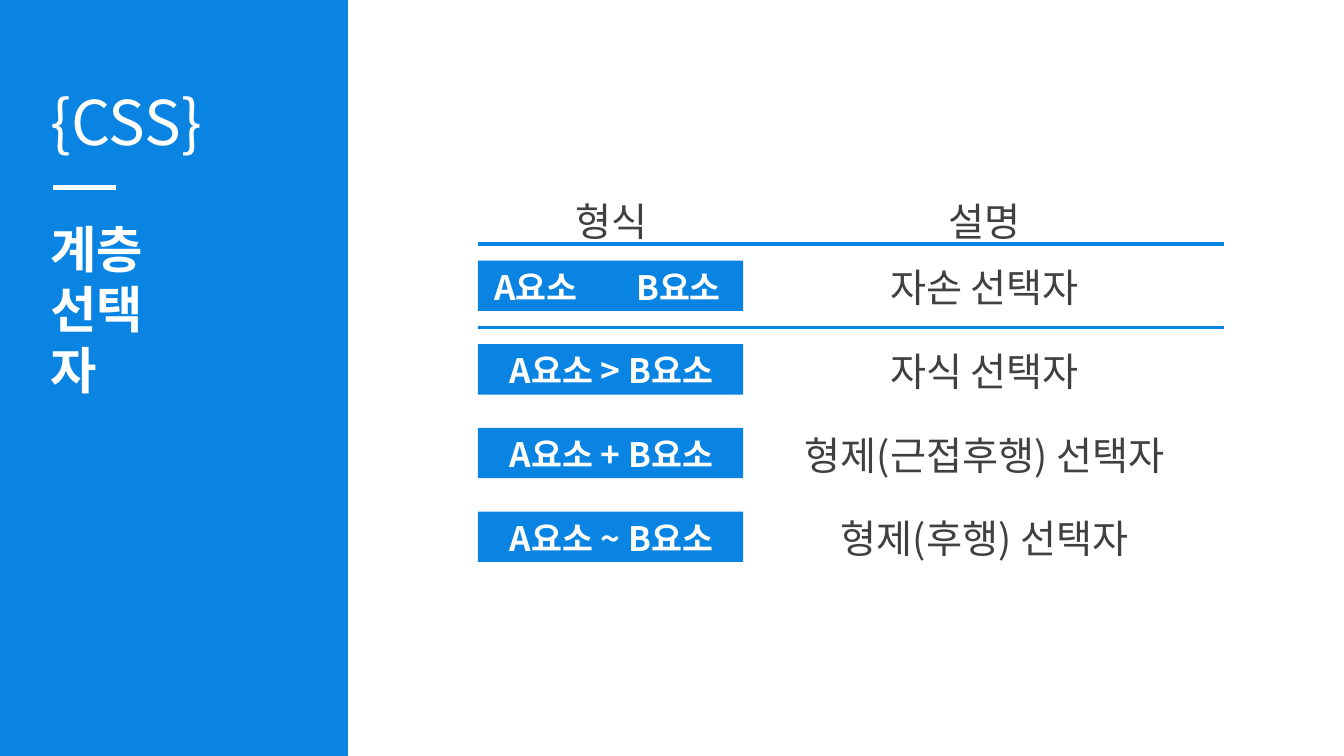
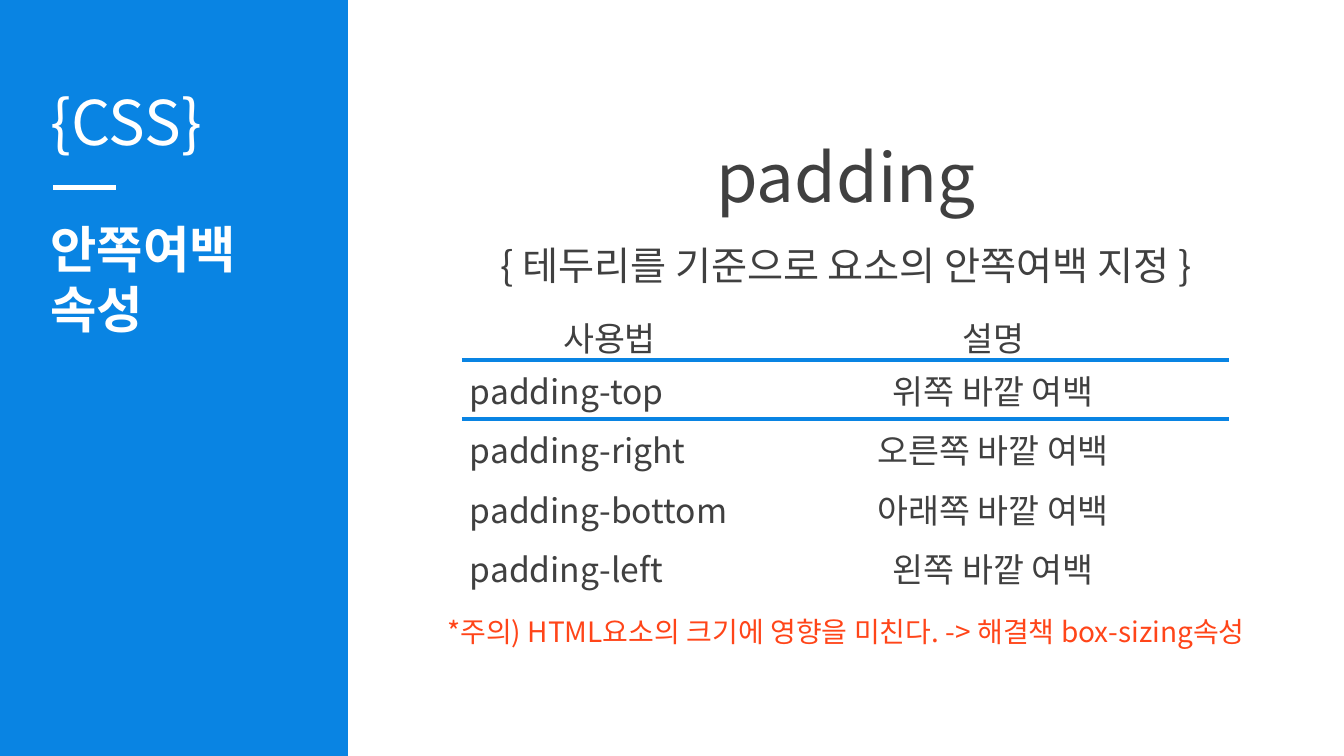
from lxml.etree import SubElement
from pptx import Presentation
from pptx.dml.color import RGBColor
from pptx.enum.shapes import MSO_CONNECTOR, MSO_SHAPE
from pptx.enum.text import MSO_ANCHOR, MSO_AUTO_SIZE, PP_ALIGN
from pptx.oxml.ns import qn
from pptx.util import Inches, Pt

BLUE = RGBColor(0x09, 0x84, 0xE3)
WHITE = RGBColor(0xFF, 0xFF, 0xFF)
GRAY = RGBColor(0x40, 0x40, 0x40)
RED = RGBColor(0xFF, 0x45, 0x19)
FONT = "Noto Sans CJK KR"
PLAIN_TABLE = "{2D5ABB26-0587-4C30-8999-92F81FD0307C}"
BAND_WIDTH = 3.45

SELECTOR_TITLE = ["계층", "선택자"]
SELECTORS = [
    ("형식", "설명"),
    ("A요소\tB요소", "자손 선택자"),
    ("A요소 > B요소", "자식 선택자"),
    ("A요소 + B요소", "형제(근접후행) 선택자"),
    ("A요소 ~ B요소", "형제(후행) 선택자"),
]
PADDING_TITLE = ["안쪽여백", "속성"]
# text, top, height, size, colour
PADDING_LINES = [
    ("padding", 1.29, 0.91, 48, GRAY),
    ("{ 테두리를 기준으로 요소의 안쪽여백 지정 }", 2.34, 0.57, 28, GRAY),
    ("*주의) HTML요소의 크기에 영향을 미친다. -> 해결책 box-sizing속성", 6.05, 0.44, 20, RED),
]
PADDINGS = [
    ("사용법", "설명"),
    ("padding-top", "위쪽 바깥 여백"),
    ("padding-right", "오른쪽 바깥 여백"),
    ("padding-bottom", "아래쪽 바깥 여백"),
    ("padding-left", "왼쪽 바깥 여백"),
]


def write(frame, lines, size, color, bold=False, align=PP_ALIGN.LEFT):
    for index, line in enumerate(lines):
        para = frame.paragraphs[0] if index == 0 else frame.add_paragraph()
        para.alignment = align
        span = para.add_run()
        span.text = line
        span.font.size = Pt(size)
        span.font.bold = bold
        span.font.color.rgb = color
        span.font.name = FONT
        SubElement(span.font._element, qn("a:ea"), typeface=FONT)


def fit(frame, wrap):
    frame.word_wrap = wrap
    frame.auto_size = MSO_AUTO_SIZE.SHAPE_TO_FIT_TEXT
    frame.vertical_anchor = MSO_ANCHOR.TOP
    return frame


def add_text(page, text, left, top, width, height, size, color,
             wrap=True, align=PP_ALIGN.LEFT):
    box = page.shapes.add_textbox(Inches(left), Inches(top), Inches(width), Inches(height))
    write(fit(box.text_frame, wrap), [text], size, color, align=align)
    return box


def add_block(page, left, top, width, height):
    block = page.shapes.add_shape(
        MSO_SHAPE.RECTANGLE, Inches(left), Inches(top), Inches(width), Inches(height))
    block.shadow.inherit = False
    block.fill.solid()
    block.fill.fore_color.rgb = BLUE
    block.line.fill.background()
    return block


def add_rule(page, left, top, width):
    rule = page.shapes.add_connector(
        MSO_CONNECTOR.STRAIGHT, Inches(left), Inches(top), Inches(left + width), Inches(top))
    rule.line.color.rgb = WHITE
    rule.line.width = Pt(3)
    SubElement(rule.element.spPr, qn("a:effectLst"))
    return rule


def move_side_band_to_layout(page, layout):
    """Draw the shared band once and keep it on the layout of every slide."""
    for holder in list(layout.placeholders)[1:]:
        holder.element.getparent().remove(holder.element)
    parts = [
        add_block(page, 0, 0, BAND_WIDTH, 7.5),
        add_rule(page, 0.53, 1.86, 0.62),
        add_text(page, "{CSS}", 0.4, 0.78, 1.85, 0.84, 44, WHITE, wrap=False),
    ]
    for part in parts:
        layout.shapes.element.append(part.element)


def set_title(page, lines, width):
    title = page.shapes.title
    title.left, title.top = Inches(0.4), Inches(2.11)
    title.width, title.height = Inches(width), Inches(1.31)
    write(fit(title.text_frame, False), lines, 36, WHITE, bold=True)


def add_border(cell, side):
    border = SubElement(cell._tc.get_or_add_tcPr(), qn(side), w=str(Pt(3)))
    fill = SubElement(border, qn("a:solidFill"))
    SubElement(fill, qn("a:srgbClr"), val=str(BLUE))


def add_ruled_table(page, rows, left, top, widths, header_height, row_height):
    """Add an empty, unstyled table with a blue rule below its header."""
    frame = page.shapes.add_table(
        len(rows), len(widths), Inches(left), Inches(top), Inches(sum(widths)),
        Inches(header_height + row_height * (len(rows) - 1)))
    next(frame.element.iter(qn("a:tableStyleId"))).text = PLAIN_TABLE
    table = frame.table
    table.first_row = table.horz_banding = False
    for column, width in zip(table.columns, widths):
        column.width = Inches(width)
    for index, row in enumerate(table.rows):
        row.height = Inches(row_height if index else header_height)
        for cell in row.cells:
            cell.vertical_anchor = MSO_ANCHOR.MIDDLE
            if index < 2:
                add_border(cell, "a:lnT" if index else "a:lnB")
            cell.fill.background()
    return table


def build_selectors(page):
    set_title(page, SELECTOR_TITLE, 1.58)
    left, top, header, step, block_height = 4.74, 1.85, 0.57, 0.83, 0.5
    for index in range(len(SELECTORS) - 1):
        block_top = top + header + step * index + (step - block_height) / 2
        add_block(page, left, block_top, 2.63, block_height)
    table = add_ruled_table(page, SELECTORS, left, top, (2.65, 4.75), header, step)
    for row, texts in enumerate(SELECTORS):
        for column, text in enumerate(texts):
            cell = table.cell(row, column)
            align = PP_ALIGN.CENTER
            if "\t" in text:
                align = PP_ALIGN.LEFT
                cell.margin_left = Inches(0.16)
                properties = cell.text_frame.paragraphs[0]._p.get_or_add_pPr()
                stops = SubElement(properties, qn("a:tabLst"))
                SubElement(stops, qn("a:tab"), pos=str(Inches(1.41)), algn="l")
            if row and column == 0:
                write(cell.text_frame, [text], 24, WHITE, bold=True, align=align)
            else:
                write(cell.text_frame, [text], 28, GRAY, align=align)


def build_padding(page):
    set_title(page, PADDING_TITLE, 2.04)
    for text, top, height, size, color in PADDING_LINES:
        add_text(page, text, BAND_WIDTH, top, 13.33 - BAND_WIDTH, height, size, color,
                 align=PP_ALIGN.CENTER)
    table = add_ruled_table(page, PADDINGS, 4.58, 3.06, (2.93, 4.68), 0.51, 0.59)
    for row, texts in enumerate(PADDINGS):
        for column, text in enumerate(texts):
            cell = table.cell(row, column)
            cell.margin_left = cell.margin_right = Inches(0.08)
            cell.margin_top = cell.margin_bottom = Inches(0.04)
            align = PP_ALIGN.LEFT if row and column == 0 else PP_ALIGN.CENTER
            write(cell.text_frame, [text], 24, GRAY, align=align)


def main():
    deck = Presentation()
    deck.slide_width, deck.slide_height = Inches(13.33), Inches(7.5)
    layout = deck.slide_layouts.get_by_name("Title Only")
    pages = [deck.slides.add_slide(layout) for _ in range(2)]
    move_side_band_to_layout(pages[0], layout)
    build_selectors(pages[0])
    build_padding(pages[1])
    deck.save("out.pptx")


if __name__ == "__main__":
    main()
